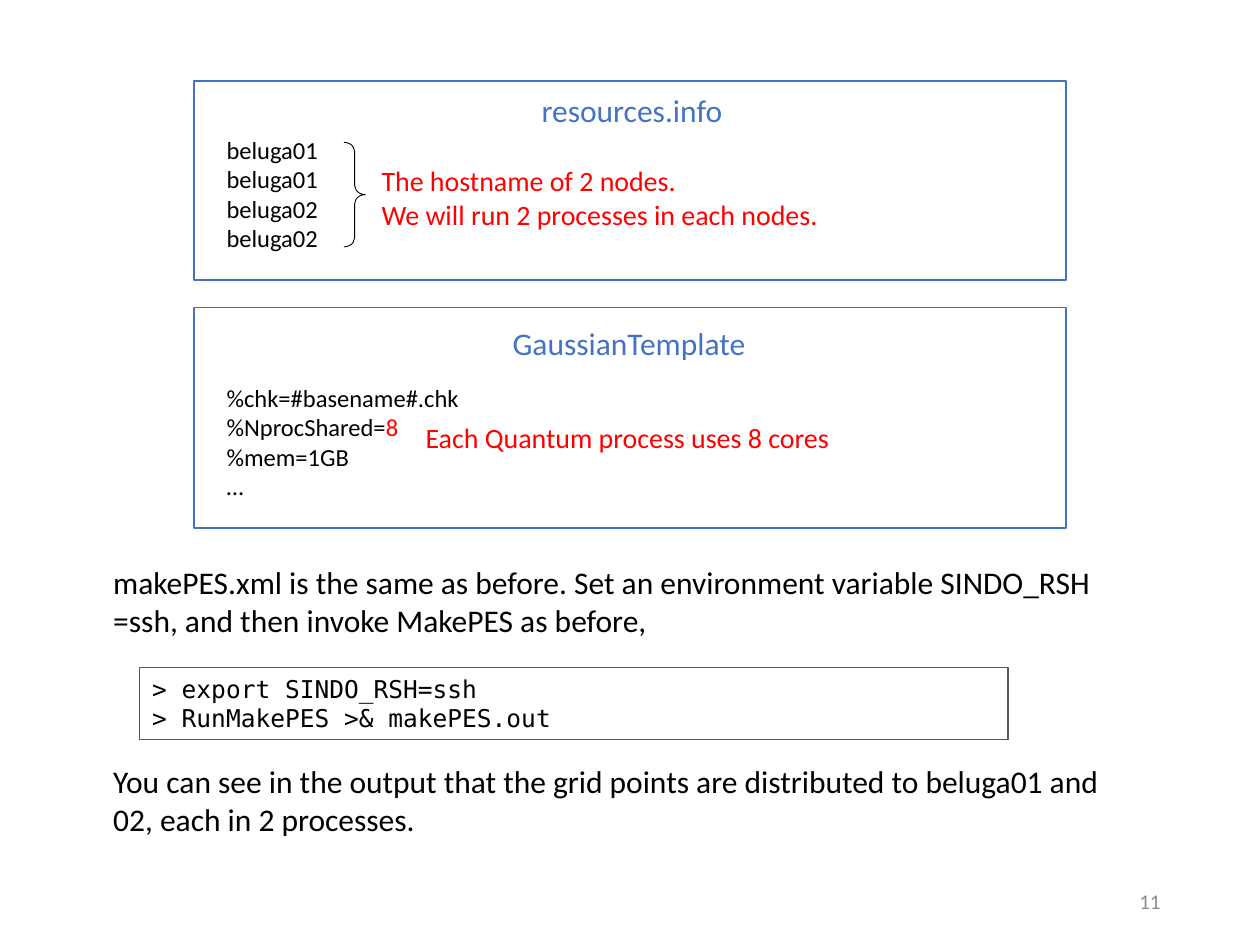
from dataclasses import dataclass

from lxml import etree
from pptx import Presentation
from pptx import util as u
from pptx.dml.color import RGBColor
from pptx.enum import shapes, text


@dataclass(frozen=True)
class Theme:
    body_font: str = "Calibri"
    code_font: str = "DejaVu Sans Mono"
    black: str = "000000"
    blue: str = "4472C4"
    red: str = "FF0000"
    grey: str = "8C8C8C"
    code_line: str = "595959"
    body: int = 18
    remark: int = 16
    listing: int = 14
    number: int = 12


THEME = Theme()
PANEL_LEFT, PANEL_WIDTH = 1.54, 6.92
LISTING_LEFT = 1.7
BODY_LEFT, BODY_WIDTH = 0.8, 8.25


def rgb(value):
    return RGBColor.from_string(value)


def write_lines(frame, lines, size, color, font=THEME.body_font, align=None):
    """Fill a frame with one paragraph per line."""
    for index, line in enumerate(lines):
        para = frame.paragraphs[0] if index == 0 else frame.add_paragraph()
        para.alignment = align
        para.add_run().text = line
        para.font.size = u.Pt(size)
        para.font.name = font
        para.font.color.rgb = rgb(color)


def add_text(page, place, lines, size, color, wrap=False, align=None):
    box = page.shapes.add_textbox(*map(u.Inches, place))
    frame = box.text_frame
    frame.word_wrap = wrap
    frame.auto_size = text.MSO_AUTO_SIZE.SHAPE_TO_FIT_TEXT
    write_lines(frame, lines, size, color, align=align)
    return frame


def add_outline(page, kind, place, color, width):
    """Add an unfilled preset shape."""
    shape = page.shapes.add_shape(kind, *map(u.Inches, place))
    shape.shadow.inherit = False
    shape.fill.background()
    shape.line.color.rgb = rgb(color)
    shape.line.width = u.Pt(width)
    return shape


def add_panel(page, top, height):
    place = (PANEL_LEFT, top, PANEL_WIDTH, height)
    add_outline(page, shapes.MSO_SHAPE.RECTANGLE, place, THEME.blue, 1)


def add_body(page, top, line):
    place = (BODY_LEFT, top, BODY_WIDTH, 0.71)
    add_text(page, place, [line], THEME.body, THEME.black, wrap=True)


def add_code(page, place, lines):
    box = add_outline(page, shapes.MSO_SHAPE.RECTANGLE, place, THEME.code_line, 0.75)
    frame = box.text_frame
    frame.word_wrap = True
    frame.vertical_anchor = text.MSO_ANCHOR.TOP
    write_lines(frame, lines, THEME.listing, THEME.black,
                THEME.code_font, text.PP_ALIGN.LEFT)


def add_resources(page):
    add_panel(page, 0.64, 1.58)
    add_text(page, (4.2, 0.67, 1.65, 0.4), ["resources.info"], THEME.body, THEME.blue)
    hosts = ["beluga01", "beluga01", "beluga02", "beluga02"]
    add_text(page, (LISTING_LEFT, 1.02, 0.94, 1.04), hosts, THEME.listing, THEME.black)
    brace = add_outline(page, shapes.MSO_SHAPE.RIGHT_BRACE,
                        (2.73, 1.13, 0.17, 0.83), THEME.black, 0.5)
    brace.adjustments[0] = 0.425
    brace.adjustments[1] = 0.5
    remark = ["The hostname of 2 nodes.", "We will run 2 processes in each nodes."]
    add_text(page, (2.93, 1.25, 3.71, 0.64), remark, THEME.remark, THEME.red)


def add_template(page):
    add_panel(page, 2.44, 1.75)
    add_text(page, (3.97, 2.52, 2.07, 0.4), ["GaussianTemplate"], THEME.body, THEME.blue)
    settings = ["%chk=#basename#.chk", "%NprocShared=", "%mem=1GB", "…"]
    frame = add_text(page, (LISTING_LEFT, 2.99, 2.06, 1.04), settings,
                     THEME.listing, THEME.black)
    cores = frame.paragraphs[1].add_run()
    cores.text = "8"
    cores.font.color.rgb = rgb(THEME.red)
    add_text(page, (3.28, 3.29, 3.4, 0.37), ["Each Quantum process uses 8 cores"],
             THEME.remark, THEME.red)


def main():
    deck = Presentation()
    deck.slide_width, deck.slide_height = u.Inches(10), u.Inches(7.5)
    page = deck.slides.add_slide(deck.slide_layouts[6])

    # Input files
    add_resources(page)
    add_template(page)

    # Instructions and commands
    add_body(page, 4.42, "makePES.xml is the same as before. Set an environment "
                         "variable SINDO_RSH =ssh, and then invoke MakePES as before,")
    add_code(page, (1.11, 5.3, 6.89, 0.57),
             ["> export SINDO_RSH=ssh", "> RunMakePES >& makePES.out"])
    add_body(page, 6, "You can see in the output that the grid points are distributed "
                      "to beluga01 and 02, each in 2 processes.")

    # Page number
    number = add_text(page, (7.06, 6.95, 2.25, 0.4), ["11"], THEME.number, THEME.grey,
                      wrap=True, align=text.PP_ALIGN.RIGHT)
    number.auto_size = text.MSO_AUTO_SIZE.NONE
    number.vertical_anchor = text.MSO_ANCHOR.MIDDLE

    deck.save("out.pptx")


if __name__ == "__main__":
    main()
